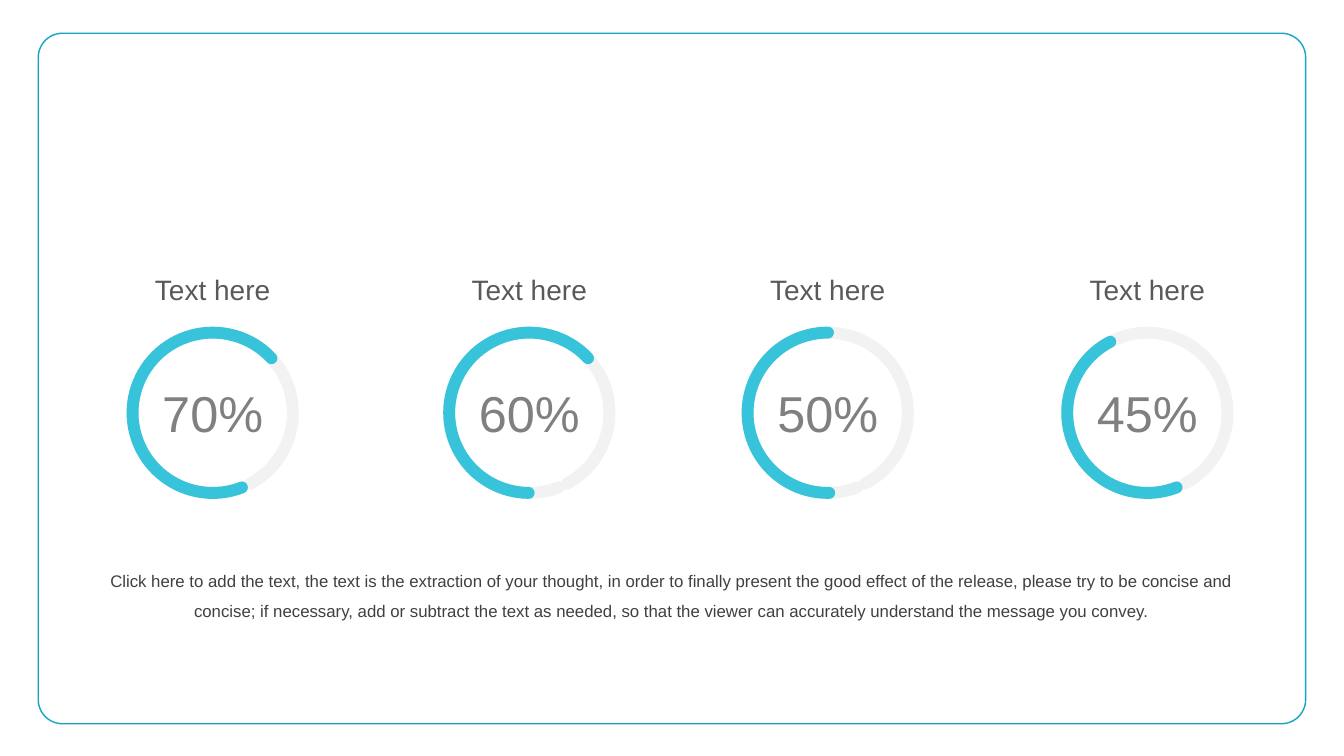
from dataclasses import dataclass

from pptx import Presentation
from pptx.dml.color import RGBColor
from pptx.enum.shapes import MSO_SHAPE as Preset
from pptx.enum.text import MSO_AUTO_SIZE as AutoSize, PP_ALIGN as Align
from pptx.util import Inches, Pt


@dataclass(frozen=True)
class Theme:
    font: str = "Arial"
    paper: str = "FFFFFF"
    border: str = "14A5C6"
    track: str = "F2F2F2"
    accent: str = "37C4DB"
    percent: str = "808080"
    label: str = "595959"
    body: str = "404040"
    percent_size: float = 36
    label_size: float = 20
    body_size: float = 12
    border_width: float = 1
    ring_width: float = 8.5


class SlideBuilder:
    def __init__(self, slide, theme):
        self.shapes = slide.shapes
        self.theme = theme

    def outline(self, preset, box, color, width):
        """Add an unfilled preset shape with a coloured line."""
        shape = self.shapes.add_shape(preset, *map(Inches, box))
        shape.shadow.inherit = False
        shape.fill.background()
        shape.line.color.rgb = RGBColor.from_string(color)
        shape.line.width = Pt(width)
        return shape

    def frame(self, box, rounding):
        border = self.outline(Preset.ROUNDED_RECTANGLE, box,
                              self.theme.border, self.theme.border_width)
        border.adjustments[0] = rounding
        border.fill.solid()
        border.fill.fore_color.rgb = RGBColor.from_string(self.theme.paper)

    def arc(self, box, start, end, color):
        """Draw a round-capped arc, clockwise in degrees from three o'clock."""
        arc = self.outline(Preset.ARC, box, color, self.theme.ring_width)
        # Angles are stored in 1/60000 degree, adjustments in 1/100000.
        arc.adjustments[0] = start * 0.6
        arc.adjustments[1] = end * 0.6
        arc.line._get_or_add_ln().set("cap", "rnd")

    def text(self, words, box, size, color, wrap=False):
        frame = self.shapes.add_textbox(*map(Inches, box)).text_frame
        frame.word_wrap = wrap
        frame.auto_size = AutoSize.SHAPE_TO_FIT_TEXT
        frame.text = words
        paragraph = frame.paragraphs[0]
        paragraph.alignment = Align.CENTER
        font = paragraph.runs[0].font
        font.name = self.theme.font
        font.size = Pt(size)
        font.color.rgb = RGBColor.from_string(color)
        return paragraph

    def gauge(self, center, label, percent, start, end):
        """Add a labelled progress ring around a percentage."""
        theme = self.theme
        ring = (center - RING_SIZE / 2, RING_TOP, RING_SIZE, RING_SIZE)
        self.arc(ring, *TRACK_ANGLES, theme.track)
        self.arc(ring, start, end, theme.accent)
        self.text(percent, (center - 0.6, 3.74, 1.2, 0.71),
                  theme.percent_size, theme.percent)
        self.text(label, (center - 0.68, 2.65, 1.36, 0.44),
                  theme.label_size, theme.label)

    def description(self, words, box):
        paragraph = self.text(words, box, self.theme.body_size,
                              self.theme.body, wrap=True)
        paragraph.line_spacing = 1.5
        paragraph.space_before = Pt(12)


RING_TOP, RING_SIZE = 3.3, 1.59
TRACK_ANGLES = (68.65, 62.26)
# Centre, percentage, start angle and end angle of each ring
GAUGES = [
    (2.11, "70%", 68.65, 317.1),
    (5.25, "60%", 90.48, 317.1),
    (8.21, "50%", 88.97, 270.15),
    (11.38, "45%", 68.65, 242.45),
]
DESCRIPTION = (
    "Click here to add the text, the text is the extraction of your thought, "
    "in order to finally present the good effect of the release, please try "
    "to be concise and concise; if necessary, add or subtract the text as "
    "needed, so that the viewer can accurately understand the message you "
    "convey."
)


def main():
    deck = Presentation()
    deck.slide_width, deck.slide_height = Inches(13.33), Inches(7.5)
    blank_layout = deck.slide_layouts[6]
    builder = SlideBuilder(deck.slides.add_slide(blank_layout), Theme())

    builder.frame((0.38, 0.33, 12.57, 6.85), rounding=0.035)
    for center, percent, start, end in GAUGES:
        builder.gauge(center, "Text here", percent, start, end)
    builder.description(DESCRIPTION, (0.73, 5.51, 11.87, 0.67))

    deck.save("out.pptx")


if __name__ == "__main__":
    main()
